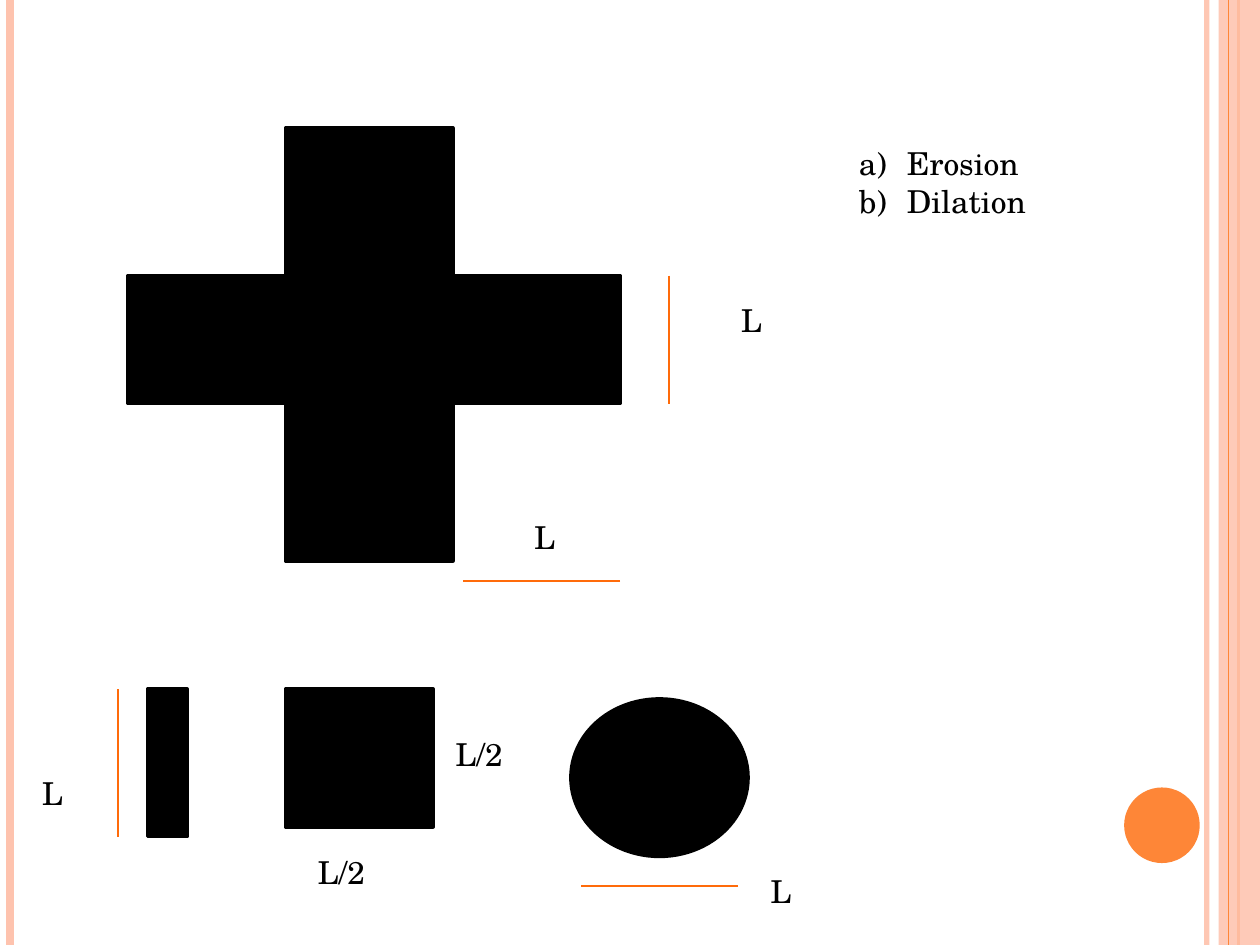
import pptx
import pptx.util
import pptx.dml.color
import pptx.enum.shapes
import pptx.enum.text
import pptx.oxml
import pptx.oxml.ns
from dataclasses import dataclass

KIND = pptx.enum.shapes.MSO_SHAPE
LINK = pptx.enum.shapes.MSO_CONNECTOR
QN = pptx.oxml.ns.qn


@dataclass(frozen=True)
class Theme:
    ink: str = "000000"
    mark: str = "FF6B0A"
    peach: str = "FEC3AE"
    orange: str = "FE8637"
    font: str = "TeX Gyre Schola"
    size: int = 18
    edge: float = 2
    rule: float = 1


LOOK = Theme()
# Grid of 128 columns by 96 rows, square cells
UNIT = pptx.util.Inches(10) / 128
COLS, ROWS = 128, 96


def grid(*cells):
    return [round(cell * UNIT) for cell in cells]


def color(code):
    return pptx.dml.color.RGBColor.from_string(code)


def fade(fill, share):
    """Set the opacity of a solid fill, in percent."""
    tone = fill.find(".//" + QN("a:srgbClr"))
    alpha = tone.makeelement(QN("a:alpha"), {"val": str(share * 1000)})
    tone.append(alpha)


def block(slide, kind, box, fill=LOOK.ink, edge=LOOK.edge, share=None):
    shape = slide.shapes.add_shape(kind, *grid(*box))
    shape.shadow.inherit = False
    shape.fill.solid()
    shape.fill.fore_color.rgb = color(fill)
    if share:
        fade(shape.element.spPr.find(QN("a:solidFill")), share)
    if edge:
        shape.line.color.rgb = color(fill)
        shape.line.width = pptx.util.Pt(edge)
    else:
        shape.line.fill.background()


def rule(slide, ends, tone=LOOK.mark, width=LOOK.rule, share=None):
    line = slide.shapes.add_connector(LINK.STRAIGHT, *grid(*ends))
    line.line.color.rgb = color(tone)
    line.line.width = pptx.util.Pt(width)
    props = line.element.spPr
    if share:
        fade(props.find(QN("a:ln")), share)
    props.append(props.makeelement(QN("a:effectLst"), {}))


def number(para):
    """Give a paragraph a lettered bullet with a hanging indent."""
    props = para._p.get_or_add_pPr()
    indent = pptx.util.Inches(0.38)
    props.set("marL", str(indent))
    props.set("indent", str(-indent))
    for tag, attrs in (("a:buFont", {"typeface": "+mj-lt"}),
                       ("a:buAutoNum", {"type": "alphaLcParenR"})):
        props.append(props.makeelement(QN(tag), attrs))


def label(slide, box, lines, listed=False):
    frame = slide.shapes.add_textbox(*grid(*box)).text_frame
    frame.word_wrap = True
    frame.auto_size = pptx.enum.text.MSO_AUTO_SIZE.SHAPE_TO_FIT_TEXT
    for index, words in enumerate(lines):
        para = frame.add_paragraph() if index else frame.paragraphs[0]
        if listed:
            number(para)
        run = para.add_run()
        run.text = words
        run.font.name = LOOK.font
        run.font.size = pptx.util.Pt(LOOK.size)
        run.font.color.rgb = color(LOOK.ink)


def frame(slide):
    """Draw the side stripes and the page disc."""
    def stripe(col, tone, width, share=None):
        rule(slide, (col, 0, col, ROWS), tone, width, share)

    stripe(122.6, LOOK.peach, 3, 93)
    stripe(1, LOOK.peach, 4.5)
    stripe(125.8, LOOK.orange, 1.5)
    block(slide, KIND.RECTANGLE, (123.8, 0, COLS - 123.8, ROWS),
          LOOK.peach, None, 87)
    stripe(124.8, LOOK.orange, 0.75)
    block(slide, KIND.OVAL, (114.2, 80, 7.68, 7.68), LOOK.orange, None)


def main():
    deck = pptx.Presentation()
    deck.slide_width, deck.slide_height = grid(COLS, ROWS)
    slide = deck.slides.add_slide(deck.slide_layouts[6])
    frame(slide)

    # Cross, then the bar, square and disc elements
    for box in ((13, 28, 50, 13), (29, 13, 17, 44),
                (15, 70, 4, 15), (29, 70, 15, 14)):
        block(slide, KIND.RECTANGLE, box)
    block(slide, KIND.OVAL, (58, 71, 18, 16))

    # Length marks
    for ends in ((68, 28, 68, 41), (63, 59, 47, 59),
                 (12, 70, 12, 85), (75, 90, 59, 90)):
        rule(slide, ends)

    # Length labels
    for col, row in ((74, 30), (53, 52), (3, 78), (77, 88)):
        label(slide, (col, row, 6, 5), ["L"])
    for col, row in ((31, 86), (45, 74)):
        label(slide, (col, row, 12, 5), ["L/2"])

    # Tasks
    label(slide, (86, 14, 31, 9), ["Erosion", "Dilation"], listed=True)
    deck.save("out.pptx")


if __name__ == "__main__":
    main()
